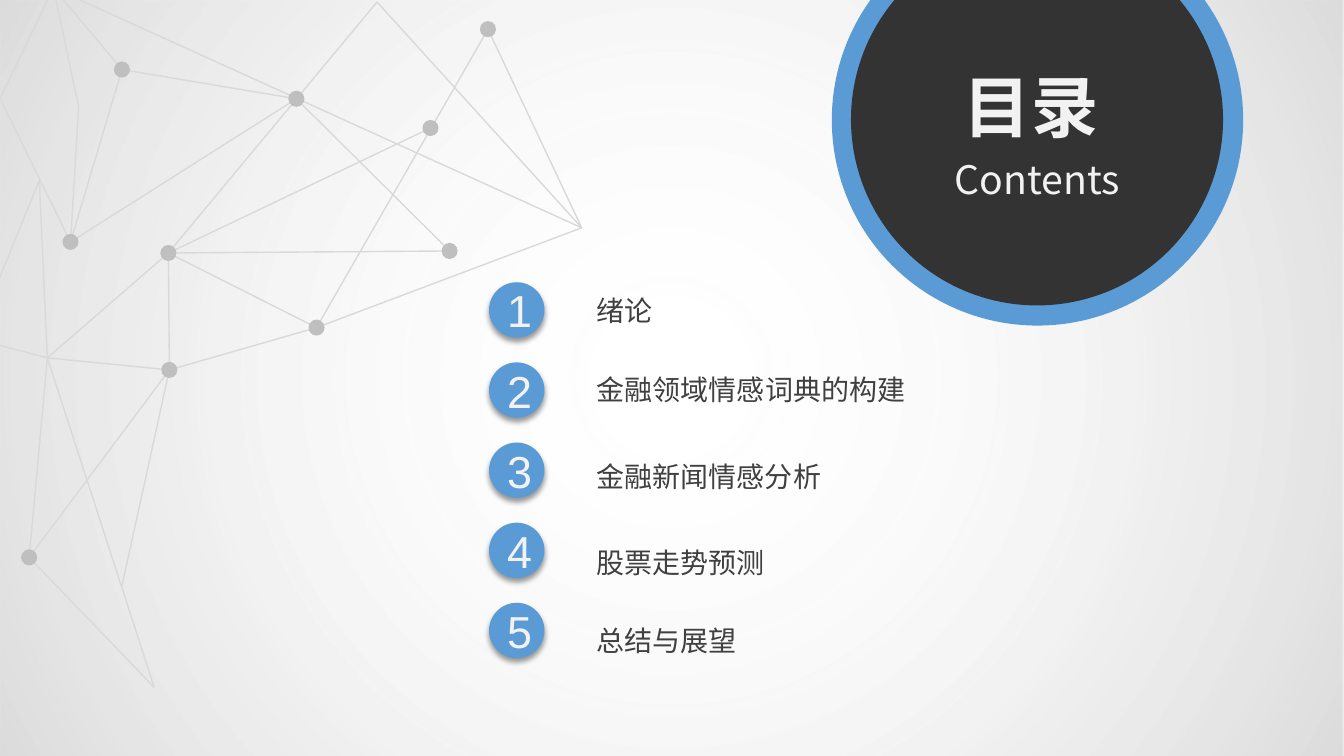
import pptx
import pptx.util
import pptx.dml.color
import pptx.enum.shapes
import pptx.enum.text
import pptx.oxml
import pptx.oxml.ns
import lxml.etree

Inches = pptx.util.Inches
Pt = pptx.util.Pt
RGBColor = pptx.dml.color.RGBColor
SHAPE = pptx.enum.shapes.MSO_SHAPE
ALIGN = pptx.enum.text.PP_ALIGN
ANCHOR = pptx.enum.text.MSO_ANCHOR
qn = pptx.oxml.ns.qn

BLUE = RGBColor(0x5B, 0x9B, 0xD5)
CHARCOAL = RGBColor(0x33, 0x33, 0x33)
TEXT_DARK = RGBColor(0x40, 0x40, 0x40)
TEXT_LIGHT = RGBColor(0xF2, 0xF2, 0xF2)
MESH_LINE = RGBColor(0xD9, 0xD9, 0xD9)
MESH_DOT = RGBColor(0xBF, 0xBF, 0xBF)
GLOW_INNER = RGBColor(0xFF, 0xFF, 0xFF)
GLOW_MIDDLE = RGBColor(0xBF, 0xBF, 0xBF)
GLOW_OUTER = RGBColor(0xA6, 0xA6, 0xA6)
HAN_FONT = "Noto Sans CJK SC"
NS = 'xmlns:a="http://schemas.openxmlformats.org/drawingml/2006/main"'

# Mesh points drawn as dots
DOTS = {
    "low": (0.29, 5.53), "peak": (4.84, 0.29), "east": (4.27, 1.27),
    "right": (4.46, 2.49), "south": (3.14, 3.25), "base": (1.68, 3.67),
    "hub": (1.67, 2.51), "north": (2.94, 0.98), "west": (0.7, 2.4),
    "top": (1.21, 0.69),
}
# Mesh points where lines only meet
JOINTS = {
    "knot": (0.47, 3.55), "edge": (-0.25, 3.36), "bend": (0.39, 1.79),
    "foot": (1.53, 6.82), "shin": (1.21, 5.81), "tip": (5.77, 2.26),
    "crest": (3.74, 0.02), "corner": (0.53, -0.12), "fold": (0.78, 1.06),
    "rim": (0, 0.98),
}
# Each start point with the points it is joined to
MESH = {
    "knot": "low hub base edge bend foot",
    "low": "base foot",
    "bend": "edge",
    "shin": "base",
    "tip": "crest corner south peak",
    "south": "base hub peak",
    "hub": "crest east right base",
    "north": "right top west",
    "top": "corner west",
    "fold": "west corner",
    "rim": "west corner",
}

CHAPTERS = [  # text and top of its box
    ("绪论", 2.86), ("金融领域情感词典的构建", 3.65), ("金融新闻情感分析", 4.51),
    ("股票走势预测", 5.36), ("总结与展望", 6.14),
]


def add_circle(slide, left, top, size, color):
    circle = slide.shapes.add_shape(
        SHAPE.OVAL, Inches(left), Inches(top), Inches(size), Inches(size))
    circle.shadow.inherit = False
    circle.fill.solid()
    circle.fill.fore_color.rgb = color
    circle.line.fill.background()
    return circle


def add_run(paragraph, text, size, color, font, bold=False):
    run = paragraph.add_run()
    run.text = text
    run.font.size = Pt(size)
    run.font.bold = bold
    run.font.color.rgb = color
    run.font.name = font
    east_asian = lxml.etree.SubElement(run.font._element, qn("a:ea"))
    east_asian.set("typeface", font)


def add_textbox(slide, left, top, width, height, wrap):
    box = slide.shapes.add_textbox(
        Inches(left), Inches(top), Inches(width), Inches(height))
    box.text_frame.word_wrap = wrap
    box.text_frame.auto_size = pptx.enum.text.MSO_AUTO_SIZE.SHAPE_TO_FIT_TEXT
    return box.text_frame


def add_backdrop(slide, width, height):
    backdrop = slide.shapes.add_shape(SHAPE.RECTANGLE, 0, 0, width, height)
    backdrop.shadow.inherit = False
    backdrop.line.fill.background()
    stops = "".join(
        f'<a:gs pos="{pos * 1000}"><a:srgbClr val="{color}">'
        f'<a:alpha val="{opacity * 1000}"/></a:srgbClr></a:gs>'
        for pos, color, opacity in [
            (0, GLOW_INNER, 0), (67, GLOW_MIDDLE, 25), (100, GLOW_OUTER, 40)])
    gradient = pptx.oxml.parse_xml(
        f'<a:gradFill {NS} rotWithShape="1"><a:gsLst>{stops}</a:gsLst>'
        '<a:path path="circle"><a:fillToRect l="50000" t="50000" r="50000" b="50000"/>'
        '</a:path></a:gradFill>')
    backdrop._element.spPr.find(qn("a:prstGeom")).addnext(gradient)


def add_mesh(slide):
    points = {**DOTS, **JOINTS}
    for start, ends in MESH.items():
        for end in ends.split():
            coordinates = [Inches(value) for value in points[start] + points[end]]
            strand = slide.shapes.add_connector(
                pptx.enum.shapes.MSO_CONNECTOR.STRAIGHT, *coordinates)
            strand.line.color.rgb = MESH_LINE
            strand.line.width = Pt(1)
            lxml.etree.SubElement(strand._element.spPr, qn("a:effectLst"))
    for x, y in DOTS.values():
        add_circle(slide, x - 0.08, y - 0.08, 0.16, MESH_DOT)


def add_chapter(slide, number, title, title_top):
    # Numbered ball with a soft shadow below
    ball = add_circle(slide, 4.85, 2.8 + 0.795 * (number - 1), 0.55, BLUE)
    effects = ball._element.spPr.find(qn("a:effectLst"))
    effects.append(pptx.oxml.parse_xml(
        f'<a:outerShdw {NS} blurRad="{Pt(4)}" dist="{Pt(3)}" dir="5400000" '
        'algn="t" rotWithShape="0"><a:srgbClr val="000000">'
        '<a:alpha val="40000"/></a:srgbClr></a:outerShdw>'))
    ball.text_frame.vertical_anchor = ANCHOR.MIDDLE
    digit = ball.text_frame.paragraphs[0]
    digit.alignment = ALIGN.CENTER
    add_run(digit, str(number), 32, TEXT_LIGHT, "Arial")

    # Chapter title
    frame = add_textbox(slide, 5.82, title_top, 0.2 + 0.28 * len(title), 0.44, False)
    add_run(frame.paragraphs[0], title, 20, TEXT_DARK, HAN_FONT)


def add_heading(slide):
    add_circle(slide, 8.25, -0.85, 4.08, BLUE)
    add_circle(slide, 8.44, -0.66, 3.69, CHARCOAL)
    frame = add_textbox(slide, 8.48, 0.44, 3.62, 1.64, True)
    chinese, english = frame.paragraphs[0], frame.add_paragraph()
    for line in (chinese, english):
        line.alignment = ALIGN.CENTER
        line.line_spacing = 1.2
    add_run(chinese, "目录", 48, TEXT_LIGHT, HAN_FONT, bold=True)
    add_run(chinese, " ", 40, TEXT_LIGHT, HAN_FONT, bold=True)
    add_run(english, "Contents", 28, TEXT_LIGHT, HAN_FONT)


def main():
    deck = pptx.Presentation()
    deck.slide_width = Inches(13.33)
    deck.slide_height = Inches(7.5)
    slide = deck.slides.add_slide(deck.slide_layouts[6])

    add_backdrop(slide, deck.slide_width, deck.slide_height)
    add_mesh(slide)
    for number, (title, title_top) in enumerate(CHAPTERS, start=1):
        add_chapter(slide, number, title, title_top)
    add_heading(slide)

    deck.save("out.pptx")


if __name__ == "__main__":
    main()
